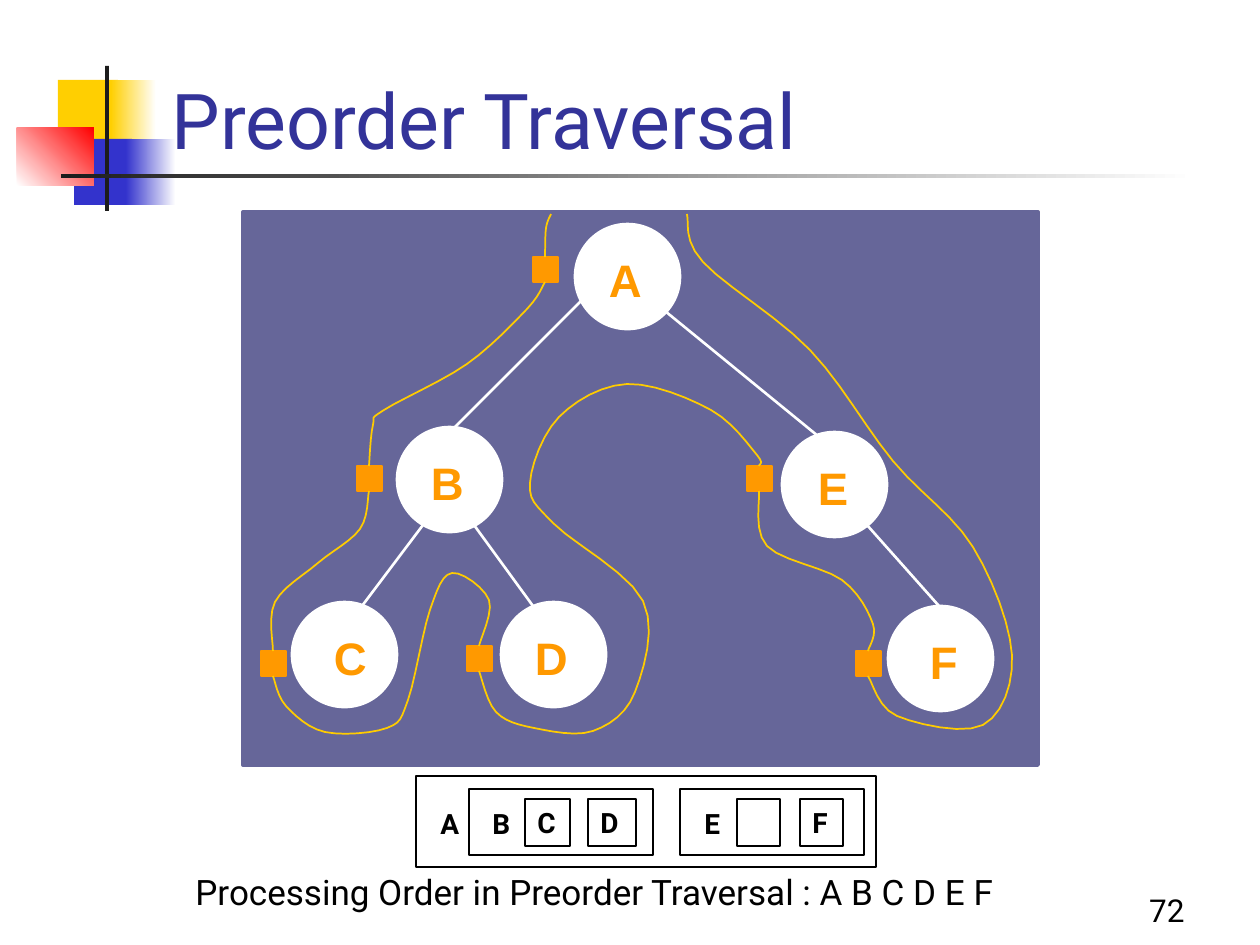
from pptx import Presentation
from pptx.dml.color import RGBColor
from pptx.enum.shapes import MSO_CONNECTOR, MSO_SHAPE
from pptx.enum.text import MSO_ANCHOR, MSO_AUTO_SIZE, PP_ALIGN
from pptx.oxml import parse_xml
from pptx.util import Emu, Pt

RECT, CIRCLE = MSO_SHAPE.RECTANGLE, MSO_SHAPE.FLOWCHART_CONNECTOR
STRAIGHT = MSO_CONNECTOR.STRAIGHT
TOP, BOTTOM = MSO_ANCHOR.TOP, MSO_ANCHOR.BOTTOM
LEFT, RIGHT = PP_ALIGN.LEFT, PP_ALIGN.RIGHT
GROW, FIXED = MSO_AUTO_SIZE.SHAPE_TO_FIT_TEXT, MSO_AUTO_SIZE.NONE

PX = 914400 / 126
COLORS = {
    "white": "FFFFFF", "black": "000000", "ink": "1C1C1C", "title": "333399",
    "yellow": "FFCF01", "blue": "3333CC", "red": "FF0000",
    "board": "666699", "orange": "FF9900", "path": "FFCC00",
}
NO_EFFECTS = '<a:effectLst xmlns:a="http://schemas.openxmlformats.org/drawingml/2006/main"/>'


def px(n):
    return Emu(round(n * PX))


def color(name):
    return RGBColor.from_string(COLORS[name])


def put_text(shape, text, size=16, font="Roboto", fill="black", bold=False,
             align=LEFT, anchor=TOP, wrap=True, fit=FIXED, inset=None):
    tf = shape.text_frame
    tf.word_wrap, tf.auto_size, tf.vertical_anchor = wrap, fit, anchor
    if inset:
        tf.margin_left = tf.margin_right = px(inset[0])
        tf.margin_top = tf.margin_bottom = px(inset[1])
    p = tf.paragraphs[0]
    p.alignment = align
    r = p.add_run()
    r.text = text
    r.font.size, r.font.name, r.font.bold = Pt(size), font, bold
    r.font.color.rgb = color(fill)


def smooth(knots, steps=6):
    """Points of a Catmull-Rom curve through the knots."""
    ends = [knots[0], *knots, knots[-1]]
    points = [knots[0]]
    for a, b, c, d in zip(ends, ends[1:], ends[2:], ends[3:]):
        for i in range(1, steps + 1):
            t = i / steps
            points.append(tuple(
                (2 * q + (r - p) * t + (2 * p - 5 * q + 4 * r - s) * t ** 2
                 + (3 * q - p - 3 * r + s) * t ** 3) / 2
                for p, q, r, s in zip(a, b, c, d)))
    return points


class Slide:
    def __init__(self, prs):
        self.s = prs.slides.add_slide(prs.slide_layouts[5])
        self.shapes = self.s.shapes

    def start_group(self):
        self.shapes = self.s.shapes.add_group_shape().shapes

    def end_group(self):
        self.shapes = self.s.shapes

    def title(self, text, x, y, w, h, **style):
        sp = self.s.shapes.title
        sp.left, sp.top, sp.width, sp.height = map(px, (x, y, w, h))
        put_text(sp, text, **style)
        self.s.shapes.element.append(sp.element)  # in front of the ornament

    def shape(self, x, y, w, h, kind=RECT, fill=None, line=None, weight=0.75):
        sp = self.shapes.add_shape(kind, *map(px, (x, y, w, h)))
        self.style(sp, fill, line, weight)
        return sp

    def style(self, sp, fill, line, weight):
        sp.shadow.inherit = False
        if fill:
            sp.fill.solid()
            sp.fill.fore_color.rgb = color(fill)
        else:
            sp.fill.background()
        if line:
            sp.line.color.rgb = color(line)
            sp.line.width = Pt(weight)
        else:
            sp.line.fill.background()

    def fade(self, x, y, w, h, start, end, angle=0):
        sp = self.shape(x, y, w, h)
        sp.fill.gradient()
        sp.fill.gradient_angle = angle
        for stop, name in zip(sp.fill.gradient_stops, (start, end)):
            stop.color.rgb = color(name)

    def text(self, text, x, y, w, h, **style):
        put_text(self.shapes.add_textbox(*map(px, (x, y, w, h))), text, **style)

    def line(self, x1, y1, x2, y2, stroke, weight):
        c = self.shapes.add_connector(STRAIGHT, *map(px, (x1, y1, x2, y2)))
        c.line.color.rgb = color(stroke)
        c.line.width = Pt(weight)
        c.element.spPr.append(parse_xml(NO_EFFECTS))

    def curve(self, knots, stroke, weight):
        points = [(px(x), px(y)) for x, y in smooth(knots)]
        fb = self.shapes.build_freeform(*points[0])
        fb.add_line_segments(points[1:], close=False)
        self.style(fb.convert_to_shape(), None, stroke, weight)


DISC, MARK = 105, 25
# name: circle left and top, label shift, visit marker left and top
NODES = {
    "A": (575, 224, 6, 533, 257),
    "B": (397, 427, 6, 357, 466),
    "C": (292, 602, 14, 261, 651),
    "D": (501, 602, 6, 467, 646),
    "E": (782, 432, 8, 747, 466),
    "F": (888, 606, 14, 856, 651),
}
EDGES = [(581, 301, 455, 427), (665, 311, 818, 436), (423, 525, 362, 606),
         (474, 525, 533, 606), (867, 525, 939, 606)]
# Turning points of the walk around the tree; each piece runs marker to marker
WALK = [
    [(551, 214), (546, 228)],
    [(527, 309), (467, 364), (384, 410), (373, 425)],
    [(360, 529), (318, 563), (275, 602)],
    [(286, 706), (325, 732), (387, 728), (408, 700), (430, 610), (452, 573), (489, 600)],
    [(496, 712), (534, 728), (593, 731), (635, 692), (643, 601), (553, 523),
     (530, 483), (559, 417), (627, 384), (711, 410), (757, 455)],
    [(767, 546), (842, 580), (873, 624)],
    [(897, 716), (983, 725), (1012, 655), (973, 547), (893, 461), (810, 350),
     (703, 262), (687, 214)],
]


def main():
    prs = Presentation()
    prs.slide_width, prs.slide_height = px(1260), px(945)
    slide = Slide(prs)

    # Corner ornament
    slide.shape(58, 80, 60, 66, fill="yellow")
    slide.fade(111, 80, 45, 66, "yellow", "white")
    slide.shape(74, 139, 58, 66, fill="blue")
    slide.fade(126, 139, 50, 66, "blue", "white")
    slide.fade(17, 128, 77, 58, "white", "red", angle=45)
    slide.shape(105, 66, 4, 145, fill="ink")
    slide.fade(61, 174, 1134, 4, "ink", "white")

    # Title, page number and caption
    slide.text("72", 935, 872, 262, 63, size=18, align=RIGHT, anchor=BOTTOM)
    slide.title("Preorder Traversal", 159, 14, 1074, 157, size=44, fill="title", anchor=BOTTOM)
    slide.text("Processing Order in Preorder Traversal : A B C D E F",
               183, 864, 874, 54, size=20, fit=GROW)

    # Tree
    slide.start_group()
    slide.shape(243, 212, 795, 553, fill="board", line="board", weight=2.25)
    for x, y, *_ in NODES.values():
        slide.shape(x, y, DISC, DISC, kind=CIRCLE, fill="white", line="white", weight=1.5)
    for edge in EDGES:
        slide.line(*edge, "white", 1.5)
    for name, (x, y, shift, mark_x, mark_y) in NODES.items():
        slide.text(name, x + shift, y + 14, 83, 77, size=26, font="Arial",
                   fill="orange", bold=True, inset=(28, 14))
        slide.shape(mark_x, mark_y, MARK, MARK, fill="orange", line="orange")

    # Walk: leaves each marker at its bottom and enters the next at its top
    marks = [(x + MARK // 2, y) for *_, x, y in NODES.values()]
    starts = [[]] + [[(x, y + MARK)] for x, y in marks]
    stops = [[mark] for mark in marks] + [[]]
    for start, turns, stop in zip(starts, WALK, stops):
        slide.curve(start + turns + stop, "path", 1)
    slide.end_group()

    # Nested boxes of the subtrees
    label = dict(bold=True, wrap=False, fit=GROW)
    slide.shape(416, 776, 460, 91, line="black")
    for x in (469, 680):
        slide.shape(x, 789, 184, 66, line="black")
    for name, x in (("A", 428), ("B", 480), ("E", 692)):
        slide.text(name, x, 800, 44, 47, **label)
    for name, x, w in (("C", 525, 45), ("D", 588, 48), ("", 737, 43), ("F", 800, 43)):
        box = slide.shape(x, 799, w, 47, line="black")
        if name:
            put_text(box, name, **label)

    prs.save("out.pptx")


if __name__ == "__main__":
    main()
